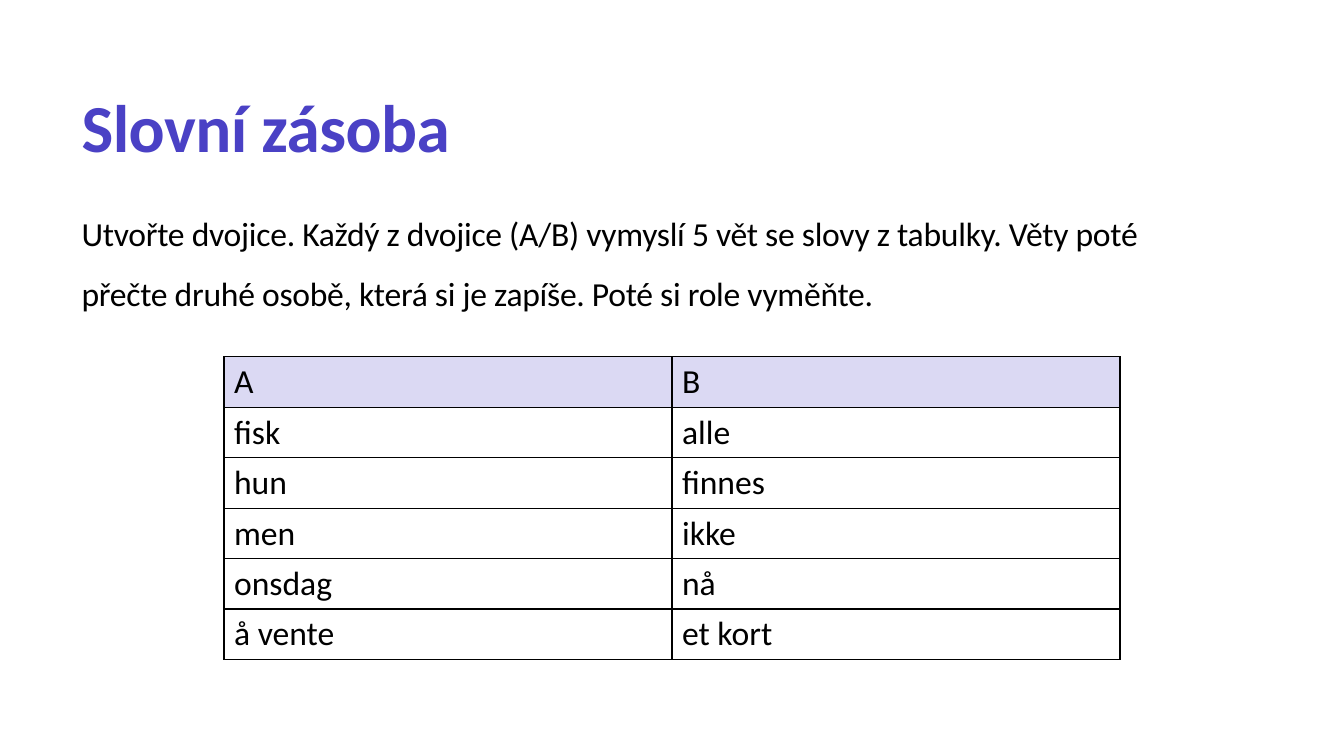
from dataclasses import dataclass
from lxml.etree import SubElement as Sub
from pptx import Presentation as Deck
from pptx.dml.color import RGBColor as Rgb
from pptx.enum.text import MSO_ANCHOR as Anchor
from pptx.oxml.ns import qn
from pptx.util import Inches, Pt


@dataclass(frozen=True)
class Theme:
    face: str = "Calibri"
    title: str = "4A41C5"
    ink: str = "000000"
    head: str = "DBD9F3"
    big: int = 48
    base: int = 24
    rule: int = 1


class Page:
    cols = 30
    rows = 30

    def __init__(self, deck, theme):
        self.theme = theme
        self.wide = deck.slide_width / self.cols
        self.high = deck.slide_height / self.rows
        self.slide = deck.slides.add_slide(deck.slide_layouts[6])

    def area(self, left, top, width, height):
        return (round(left * self.wide), round(top * self.high),
                round(width * self.wide), round(height * self.high))

    def label(self, para, words, size, color, bold=False, gap=0):
        run = para.add_run()
        run.text = words
        style = {"name": self.theme.face, "size": Pt(size), "bold": bold}
        for key, val in style.items():
            setattr(run.font, key, val)
        run.font.color.rgb = Rgb.from_string(color)
        if gap:
            run._r.get_or_add_rPr().set("spc", str(gap))

    def text(self, place, words, size, color, lead, anchor=Anchor.TOP, **look):
        frame = self.slide.shapes.add_textbox(*self.area(*place)).text_frame
        for key, val in {"word_wrap": True, "vertical_anchor": anchor}.items():
            setattr(frame, key, val)
        para = frame.paragraphs[0]
        para.line_spacing = lead
        self.label(para, words, size, color, **look)

    def border(self, cell):
        props = cell._tc.get_or_add_tcPr()
        for side in ("lnL", "lnR", "lnT", "lnB"):
            line = Sub(props, qn(f"a:{side}"), w=str(int(Pt(self.theme.rule))))
            fill = Sub(line, qn("a:solidFill"))
            Sub(fill, qn("a:srgbClr"), val=self.theme.ink)

    def table(self, place, data):
        shape = self.slide.shapes.add_table(
            len(data), len(data[0]), *self.area(*place))
        grid = shape.table
        for key in ("first_row", "horz_banding"):
            setattr(grid, key, False)
        for row, words in enumerate(data):
            for col, word in enumerate(words):
                cell = grid.cell(row, col)
                self.border(cell)
                if row == 0:
                    cell.fill.solid()
                    cell.fill.fore_color.rgb = Rgb.from_string(self.theme.head)
                else:
                    cell.fill.background()
                self.label(cell.text_frame.paragraphs[0], word,
                           self.theme.base, self.theme.ink)


def main():
    deck = Deck()
    deck.slide_width, deck.slide_height = Inches(13.33), Inches(7.5)
    theme = Theme()
    page = Page(deck, theme)
    page.text((1.6, 1.6, 26, 5.24), "Slovní zásoba", theme.big, theme.title,
              0.9, Anchor.BOTTOM, bold=True, gap=-40)
    task = ("Utvořte dvojice. Každý z dvojice (A/B) vymyslí 5 vět se slovy "
            "z tabulky. Věty poté přečte druhé osobě, která si je zapíše. "
            "Poté si role vyměňte.")
    page.text((1.6, 7.44, 26, 19.6), task, theme.base, theme.ink, 1.5, gap=-20)
    page.table((5, 14.16, 20, 12), [
        ("A", "B"),
        ("fisk", "alle"),
        ("hun", "finnes"),
        ("men", "ikke"),
        ("onsdag", "nå"),
        ("å vente", "et kort"),
    ])
    deck.save("out.pptx")


if __name__ == "__main__":
    main()
